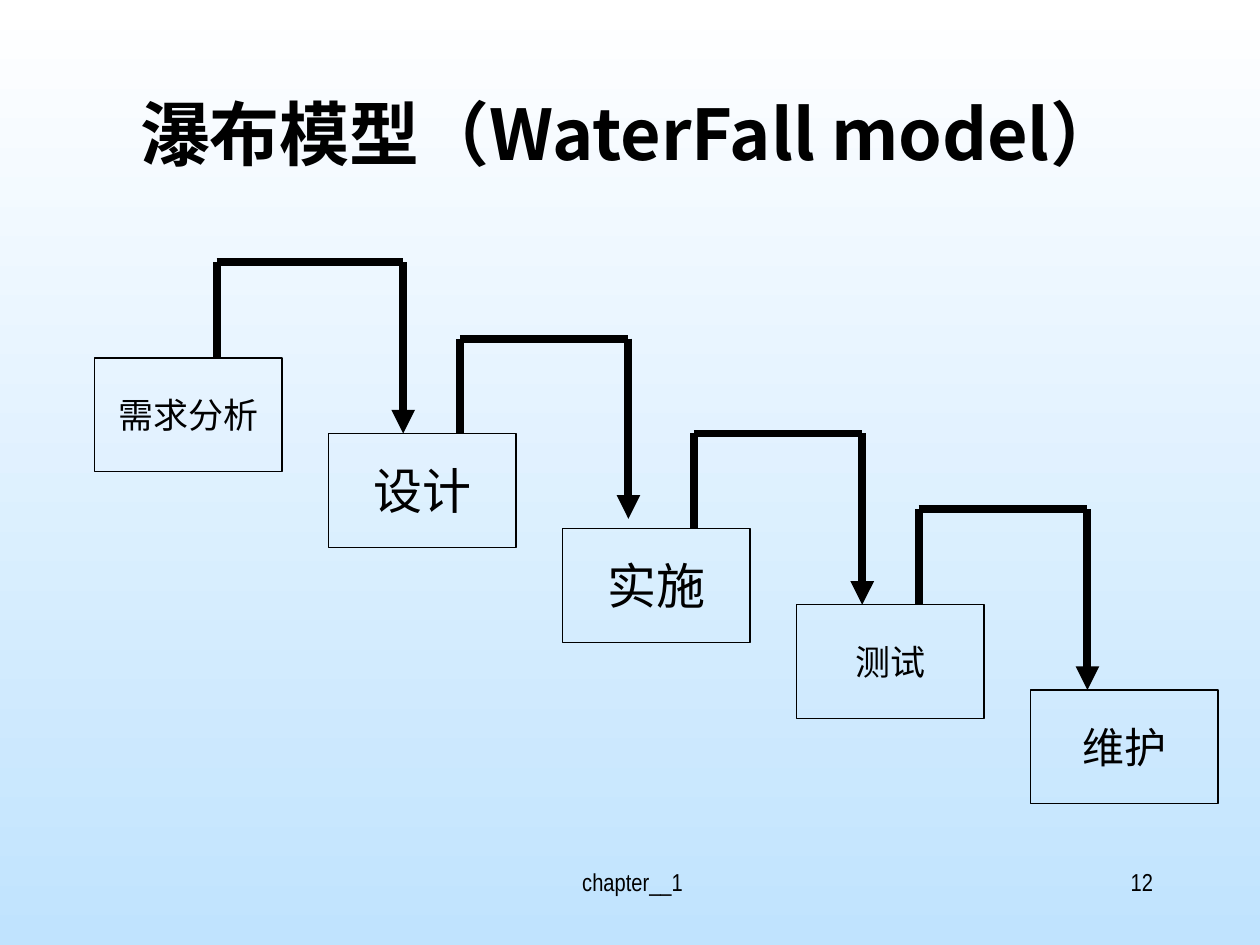
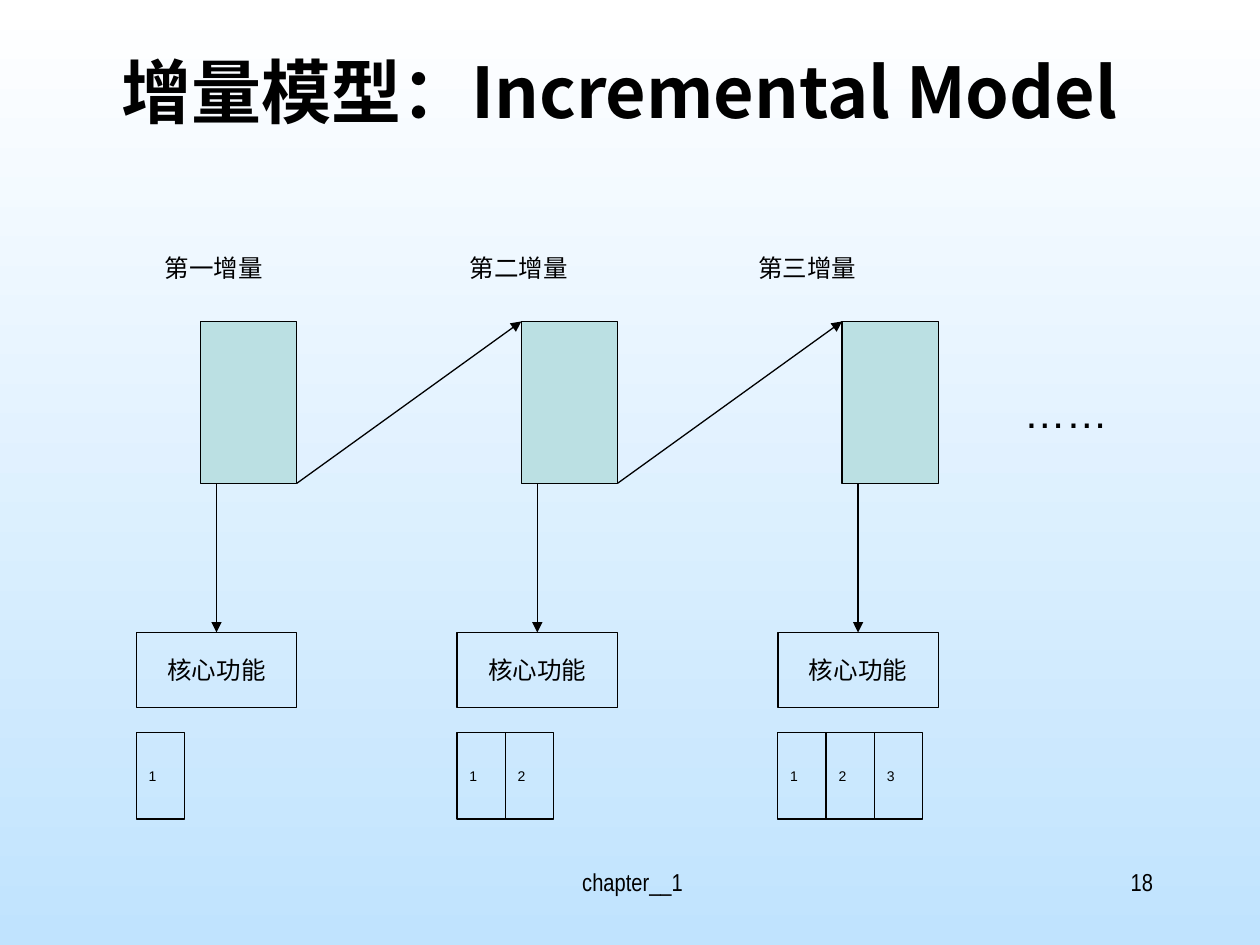
from typing import NamedTuple

from lxml.etree import SubElement
from pptx import Presentation
from pptx.dml.color import RGBColor
from pptx.enum.shapes import MSO_CONNECTOR, MSO_SHAPE
from pptx.enum.text import MSO_ANCHOR, MSO_AUTO_SIZE, PP_ALIGN
from pptx.oxml.ns import qn
from pptx.util import Pt

INK = "000000"
SKY_TOP, SKY_BOTTOM = "FFFFFF", "C0E3FE"
BLOCK_FILL = "BBE0E3"
CJK_FONT = "Noto Sans CJK SC"
BODY_FONT = "Arial"
FOOTER_FONT = "Arial Narrow"
THIN, THICK = 0.75, 4.5


class Frame(NamedTuple):
    left: float
    top: float
    width: float
    height: float

    @property
    def right(self) -> float:
        return self.left + self.width

    @property
    def bottom(self) -> float:
        return self.top + self.height

    def in_points(self) -> list:
        return [Pt(length) for length in self]


class TextStyle(NamedTuple):
    size: float
    font: str = BODY_FONT
    align: PP_ALIGN = PP_ALIGN.CENTER
    bold: bool = False


class Stage(NamedTuple):
    name: str
    top: float
    size: float


class Route(NamedTuple):
    start_x: float
    start_y: float
    top: float
    end_x: float
    end_y: float


class Increment(NamedTuple):
    label: str
    label_left: float


TITLE = TextStyle(40, CJK_FONT, bold=True)
FOOTER = TextStyle(14, FOOTER_FONT)
PAGE_NUMBER = TextStyle(14, FOOTER_FONT, PP_ALIGN.RIGHT)
LABEL = TextStyle(14, align=PP_ALIGN.LEFT)
CORE = TextStyle(14)
TILE = TextStyle(8, align=PP_ALIGN.LEFT)
ELLIPSIS = TextStyle(24, align=PP_ALIGN.LEFT)

STAGE_LEFT, STAGE_PITCH = 54, 133.7
STAGE_WIDTH, STAGE_HEIGHT = 107.25, 65
STAGES = [
    Stage("需求分析", 204.5, 20),
    Stage("设计", 247.7, 28),
    Stage("实施", 302, 28),
    Stage("测试", 345.6, 20),
    Stage("维护", 394.3, 24),
]
ROUTES = [
    Route(123.8, 204.5, 149.8, 230.4, 247.7),
    Route(262.8, 247.7, 193.5, 359.1, 296.5),
    Route(396.5, 302, 247.7, 492.7, 345.6),
    Route(525, 345.6, 291, 621.4, 394.3),
]

INCREMENT_PITCH = 183.3
INCREMENTS = [
    Increment("第一增量", 87),
    Increment("第二增量", 261.2),
    Increment("第三增量", 426.2),
]
TILE_WIDTH = 27.6


def color(code: str) -> RGBColor:
    return RGBColor.from_string(code)


def write(box, text: str, style: TextStyle, anchor=MSO_ANCHOR.TOP) -> None:
    frame = box.text_frame
    frame.word_wrap = True
    frame.auto_size = MSO_AUTO_SIZE.NONE
    frame.vertical_anchor = anchor
    para = frame.paragraphs[0]
    para.text = text
    para.alignment = style.align
    font = para.font
    font.size = Pt(style.size)
    font.bold = style.bold
    font.color.rgb = color(INK)
    font.name = style.font
    properties = para._p.pPr.find(qn("a:defRPr"))
    SubElement(properties, qn("a:ea")).set("typeface", CJK_FONT)


def add_text(page, frame: Frame, text: str, style: TextStyle) -> None:
    write(page.shapes.add_textbox(*frame.in_points()), text, style)


def add_box(page, frame: Frame, text: str = "", style: TextStyle = CORE, fill: str = ""):
    box = page.shapes.add_shape(MSO_SHAPE.RECTANGLE, *frame.in_points())
    box.shadow.inherit = False
    box.line.color.rgb = color(INK)
    box.line.width = Pt(THIN)
    if fill:
        box.fill.solid()
        box.fill.fore_color.rgb = color(fill)
    else:
        box.fill.background()
    if text:
        write(box, text, style, MSO_ANCHOR.MIDDLE)
    return box


def add_line(page, start: tuple, end: tuple, width: float = THIN, arrow: bool = False):
    line = page.shapes.add_connector(
        MSO_CONNECTOR.STRAIGHT, *(Pt(length) for length in (*start, *end))
    )
    line.line.color.rgb = color(INK)
    line.line.width = Pt(width)
    if arrow:
        SubElement(line.line._get_or_add_ln(), qn("a:tailEnd")).set("type", "triangle")
    SubElement(line._element.spPr, qn("a:effectLst"))
    return line


def set_background(deck) -> None:
    fill = deck.slide_master.background.fill
    fill.gradient()
    fill.gradient_angle = 270
    for stop, code in zip(fill.gradient_stops, (SKY_TOP, SKY_BOTTOM)):
        stop.color.rgb = color(code)


def add_page(deck, title: str, left: float, top: float, number: int):
    page = deck.slides.add_slide(deck.slide_layouts[5])
    heading = page.shapes.title
    heading.left, heading.top, heading.width, heading.height = Frame(
        left, top, 612, 90
    ).in_points()
    write(heading, title, TITLE)
    add_text(page, Frame(247.5, 492, 228, 36), "chapter__1", FOOTER)
    add_text(page, Frame(516, 492, 150, 36), str(number), PAGE_NUMBER)
    return page


def add_route(page, route: Route) -> None:
    corners = [
        (route.start_x, route.start_y),
        (route.start_x, route.top),
        (route.end_x, route.top),
        (route.end_x, route.end_y),
    ]
    for start, end in zip(corners, corners[1:]):
        add_line(page, start, end, THICK, arrow=end == corners[-1])


def draw_waterfall(deck) -> None:
    page = add_page(deck, "瀑布模型（WaterFall model）", 54, 48, 12)
    for index, stage in enumerate(STAGES):
        left = STAGE_LEFT + index * STAGE_PITCH
        frame = Frame(left, stage.top, STAGE_WIDTH, STAGE_HEIGHT)
        add_box(page, frame, stage.name, TextStyle(stage.size))
    for route in ROUTES:
        add_route(page, route)


def draw_increments(deck) -> None:
    page = add_page(deck, "增量模型：Incremental Model", 48, 24, 18)
    for index, increment in enumerate(INCREMENTS):
        shift = index * INCREMENT_PITCH
        block = Frame(114.6 + shift, 183.7, 55, 92.5)
        core = Frame(77.9 + shift, 361.4, 91.7, 42.8)
        add_text(page, Frame(increment.label_left, 141, 110, 25), increment.label, LABEL)
        add_box(page, block, fill=BLOCK_FILL)
        core_box = add_box(page, core, "核心功能", CORE)
        for count in range(index + 1):
            tile = Frame(core.left + count * TILE_WIDTH, 418.5, TILE_WIDTH, 49.5)
            add_box(page, tile, str(count + 1), TILE)
        middle = core.left + core.width / 2
        arrow = add_line(page, (middle, block.bottom), (middle, core.top), arrow=True)
        arrow.end_connect(core_box, 0)
        if index < len(INCREMENTS) - 1:
            next_corner = (block.left + INCREMENT_PITCH, block.top)
            add_line(page, (block.right, block.bottom), next_corner, arrow=True)
    add_text(page, Frame(578, 217.5, 76.5, 37.5), "……", ELLIPSIS)


def main() -> None:
    deck = Presentation()
    deck.slide_width, deck.slide_height = Pt(720), Pt(540)
    set_background(deck)
    draw_waterfall(deck)
    draw_increments(deck)
    deck.save("out.pptx")


if __name__ == "__main__":
    main()
